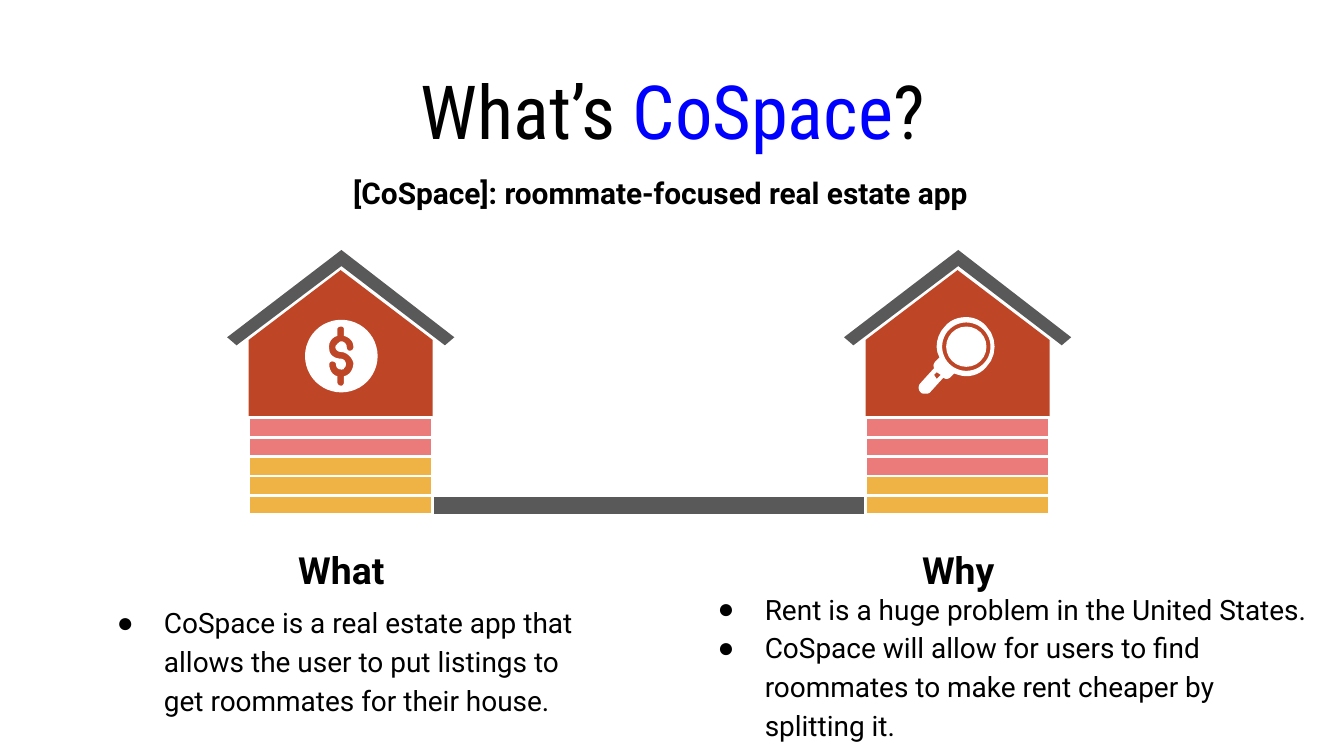
import math

from lxml import etree
from pptx import Presentation
from pptx.dml.color import RGBColor
from pptx.enum.shapes import MSO_SHAPE
from pptx.enum.text import MSO_ANCHOR, MSO_AUTO_SIZE, PP_ALIGN
from pptx.oxml.ns import qn
from pptx.util import Inches, Pt

RECTANGLE = MSO_SHAPE.RECTANGLE
TRIANGLE = MSO_SHAPE.ISOSCELES_TRIANGLE
OVAL = MSO_SHAPE.OVAL
TOP, MIDDLE = MSO_ANCHOR.TOP, MSO_ANCHOR.MIDDLE
LEFT, CENTER = PP_ALIGN.LEFT, PP_ALIGN.CENTER
NO_AUTOFIT = MSO_AUTO_SIZE.NONE

BLACK = RGBColor(0x00, 0x00, 0x00)
WHITE = RGBColor(0xFF, 0xFF, 0xFF)
BLUE = RGBColor(0x00, 0x00, 0xFF)
GRAY = RGBColor(0x59, 0x59, 0x59)
BRICK = RGBColor(0xBE, 0x46, 0x26)
PINK = RGBColor(0xEB, 0x7B, 0x7B)
YELLOW = RGBColor(0xEE, 0xB2, 0x45)

HOUSE_WIDTH = 1.37
STRIPES_TOP, STRIPES_BOTTOM = 3.11, 3.83
STRIPE_COUNT = 5
STRIPE_HEIGHT = (STRIPES_BOTTOM - STRIPES_TOP) / STRIPE_COUNT
ROOF = [(0.69, 1.86), (-0.16, 2.51), (-0.09, 2.57), (0.69, 1.98),
        (1.46, 2.57), (1.53, 2.51)]

TITLE_FONT = {"name": "Roboto Condensed", "size": Pt(40), "bold": False}
SUBTITLE_FONT = {"name": "Roboto", "size": Pt(16), "bold": True}
HEADING_FONT = {"name": "Roboto", "size": Pt(20), "bold": True}
BODY_FONT = {"name": "Roboto", "size": Pt(15), "bold": False}
TITLE_PARAGRAPH = {"alignment": CENTER, "space_before": Pt(0)}
HEADING_PARAGRAPH = {"alignment": CENTER, "line_spacing": 1.15,
                     "space_before": Pt(0), "space_after": Pt(16)}
BODY_PARAGRAPH = {"alignment": LEFT, "line_spacing": 1.15,
                  "space_before": Pt(0), "space_after": Pt(0)}

DOLLAR_SIGN = [
    (2.54, 2.43), (2.55, 2.43, 2.56, 2.44, 2.56, 2.45), (2.56, 2.5),
    (2.6, 2.51, 2.63, 2.54, 2.63, 2.58), (2.63, 2.6, 2.62, 2.61, 2.6, 2.61),
    (2.59, 2.61, 2.58, 2.6, 2.58, 2.58), (2.58, 2.56, 2.56, 2.54, 2.54, 2.54),
    (2.53, 2.54, 2.52, 2.55, 2.51, 2.56), (2.48, 2.58, 2.5, 2.62, 2.54, 2.62),
    (2.58, 2.62, 2.62, 2.66, 2.63, 2.7), (2.63, 2.74, 2.61, 2.79, 2.56, 2.8),
    (2.56, 2.84), (2.56, 2.86, 2.55, 2.87, 2.54, 2.87),
    (2.52, 2.87, 2.51, 2.86, 2.51, 2.84), (2.51, 2.8),
    (2.47, 2.79, 2.45, 2.75, 2.45, 2.71), (2.45, 2.7, 2.46, 2.69, 2.47, 2.69),
    (2.49, 2.69, 2.5, 2.7, 2.5, 2.71), (2.5, 2.74, 2.52, 2.75, 2.54, 2.75),
    (2.55, 2.75, 2.56, 2.75, 2.56, 2.74), (2.59, 2.72, 2.57, 2.67, 2.54, 2.67),
    (2.49, 2.67, 2.45, 2.64, 2.45, 2.6), (2.44, 2.55, 2.47, 2.51, 2.51, 2.5),
    (2.51, 2.45), (2.51, 2.44, 2.52, 2.43, 2.54, 2.43)]
MAGNIFIER = [
    (7.19, 2.36), (7.13, 2.36, 7.07, 2.38, 7.03, 2.43),
    (6.97, 2.49, 6.95, 2.59, 6.99, 2.66), (6.96, 2.69),
    (6.95, 2.7, 6.94, 2.72, 6.95, 2.74), (6.85, 2.85),
    (6.83, 2.87, 6.83, 2.9, 6.85, 2.92), (6.86, 2.93, 6.87, 2.93, 6.88, 2.93),
    (6.9, 2.93, 6.91, 2.93, 6.92, 2.92), (7.02, 2.81),
    (7.03, 2.82, 7.04, 2.82, 7.04, 2.82), (7.06, 2.82, 7.07, 2.81, 7.08, 2.8),
    (7.1, 2.78), (7.13, 2.79, 7.16, 2.8, 7.19, 2.8),
    (7.24, 2.8, 7.3, 2.78, 7.34, 2.73), (7.42, 2.65, 7.42, 2.51, 7.34, 2.43),
    (7.3, 2.38, 7.24, 2.36, 7.19, 2.36)]
HANDLE_HOLE = [(6.97, 2.77), (7, 2.79), (6.97, 2.82), (6.95, 2.79)]


def set_attributes(target, values):
    for name, value in values.items():
        setattr(target, name, value)


def place(shape, box):
    names = ("left", "top", "width", "height")
    set_attributes(shape, dict(zip(names, map(Inches, box))))


def paint(shape, fill, outline=None):
    shape.shadow.inherit = False
    shape.fill.solid()
    shape.fill.fore_color.rgb = fill
    if outline is None:
        shape.line.fill.background()
    else:
        shape.line.color.rgb = outline
        shape.line.width = Pt(1.5)


def add_block(shapes, kind, box, fill, outline=None):
    paint(shapes.add_shape(kind, *map(Inches, box)), fill, outline)


def circle(center_x, center_y, radius, steps=48):
    angles = [2 * math.pi * step / steps for step in range(steps)]
    return [(center_x + radius * math.cos(angle),
             center_y + radius * math.sin(angle)) for angle in angles]


def flatten(segments, steps=6):
    points = [segments[0]]
    for segment in segments[1:]:
        if len(segment) == 2:
            points.append(segment)
            continue
        controls = [points[-1], segment[:2], segment[2:4], segment[4:]]
        for step in range(1, steps + 1):
            t = step / steps
            weights = ((1 - t) ** 3, 3 * t * (1 - t) ** 2,
                       3 * t ** 2 * (1 - t), t ** 3)
            points.append(tuple(
                sum(weight * control[axis]
                    for weight, control in zip(weights, controls))
                for axis in (0, 1)))
    return points


def add_outline(shapes, contours, fill):
    contours = [[(Inches(x), Inches(y)) for x, y in contour]
                for contour in contours]
    builder = shapes.build_freeform(*contours[0][0])
    builder.add_line_segments(contours[0][1:])
    for contour in contours[1:]:
        builder.move_to(*contour[0])
        builder.add_line_segments(contour[1:])
    paint(builder.convert_to_shape(), fill)


def add_house(slide, left, stripe_colors):
    shapes = slide.shapes.add_group_shape().shapes
    add_outline(shapes, [[(left + x, y) for x, y in ROOF]], GRAY)
    add_block(shapes, TRIANGLE, (left, 2.01, HOUSE_WIDTH, 0.52), BRICK)
    add_block(shapes, RECTANGLE, (left, 2.53, HOUSE_WIDTH, 0.58), BRICK)
    for row, color in enumerate(stripe_colors):
        top = STRIPES_TOP + row * STRIPE_HEIGHT
        add_block(shapes, RECTANGLE, (left, top, HOUSE_WIDTH, STRIPE_HEIGHT),
                  color, WHITE)
    return shapes


def add_bullet(paragraph):
    properties = paragraph._p.get_or_add_pPr()
    properties.set("marL", str(Inches(0.5)))
    properties.set("indent", str(Inches(-0.35)))
    color = etree.SubElement(properties, qn("a:buClr"))
    etree.SubElement(color, qn("a:srgbClr")).set("val", str(BLACK))
    etree.SubElement(properties, qn("a:buChar")).set("char", "●")


def write_text(shape, box, paragraphs, font, layout, anchor=TOP, bullets=False):
    place(shape, box)
    frame = shape.text_frame
    margins = ("margin_left", "margin_top", "margin_right", "margin_bottom")
    set_attributes(frame, dict.fromkeys(margins, Inches(0.1)))
    set_attributes(frame, {"word_wrap": True, "auto_size": NO_AUTOFIT,
                           "vertical_anchor": anchor})
    for index, runs in enumerate(paragraphs):
        paragraph = frame.add_paragraph() if index else frame.paragraphs[0]
        if bullets:
            add_bullet(paragraph)
        set_attributes(paragraph, layout)
        for text, color in runs:
            run = paragraph.add_run()
            run.text = text
            set_attributes(run.font, font)
            run.font.color.rgb = color


def add_column(heading, body, heading_left, title, body_box, items):
    write_text(heading, (heading_left, 3.92, 1.96, 0.52), [[(title, BLACK)]],
               HEADING_FONT, HEADING_PARAGRAPH)
    write_text(body, body_box, [[(item, BLACK)] for item in items],
               BODY_FONT, BODY_PARAGRAPH, bullets=True)


def main():
    presentation = Presentation()
    presentation.slide_width = Inches(10)
    presentation.slide_height = presentation.slide_width * 9 // 16
    slide = presentation.slides.add_slide(presentation.slide_layouts[4])
    title, what, what_body, why, why_body = slide.placeholders

    write_text(title, (2.41, 0.55, 5.19, 0.53),
               [[("What’s ", BLACK), ("CoSpace", BLUE), ("?", BLACK)]],
               TITLE_FONT, TITLE_PARAGRAPH, MIDDLE)
    subtitle = slide.shapes.add_textbox(0, 0, 0, 0)
    write_text(subtitle, (2.22, 1.16, 5.39, 0.59),
               [[("[CoSpace]: roommate-focused real estate app", BLACK)]],
               SUBTITLE_FONT, HEADING_PARAGRAPH)

    add_block(slide.shapes, RECTANGLE, (2.47, 3.69, 4.89, STRIPE_HEIGHT),
              GRAY, WHITE)
    money_house = add_house(slide, 1.85, [PINK] * 2 + [YELLOW] * 3)
    add_outline(money_house, [circle(2.54, 2.65, 0.27), flatten(DOLLAR_SIGN)],
                WHITE)
    search_house = add_house(slide, 6.44, [PINK] * 3 + [YELLOW] * 2)
    add_outline(search_house, [flatten(MAGNIFIER), circle(7.19, 2.58, 0.18),
                               HANDLE_HOLE], WHITE)
    add_block(search_house, OVAL, (7.04, 2.43, 0.3, 0.3), WHITE)

    add_column(what, what_body, 1.56, "What", (0.62, 4.37, 3.83, 1.07),
               ["CoSpace is a real estate app that allows the user to put "
                "listings to get roommates for their house."])
    add_column(why, why_body, 6.15, "Why", (5.09, 4.27, 4.82, 1.45),
               ["Rent is a huge problem in the United States.",
                "CoSpace will allow for users to find roommates to make rent "
                "cheaper by splitting it."])
    presentation.save("out.pptx")


if __name__ == "__main__":
    main()
